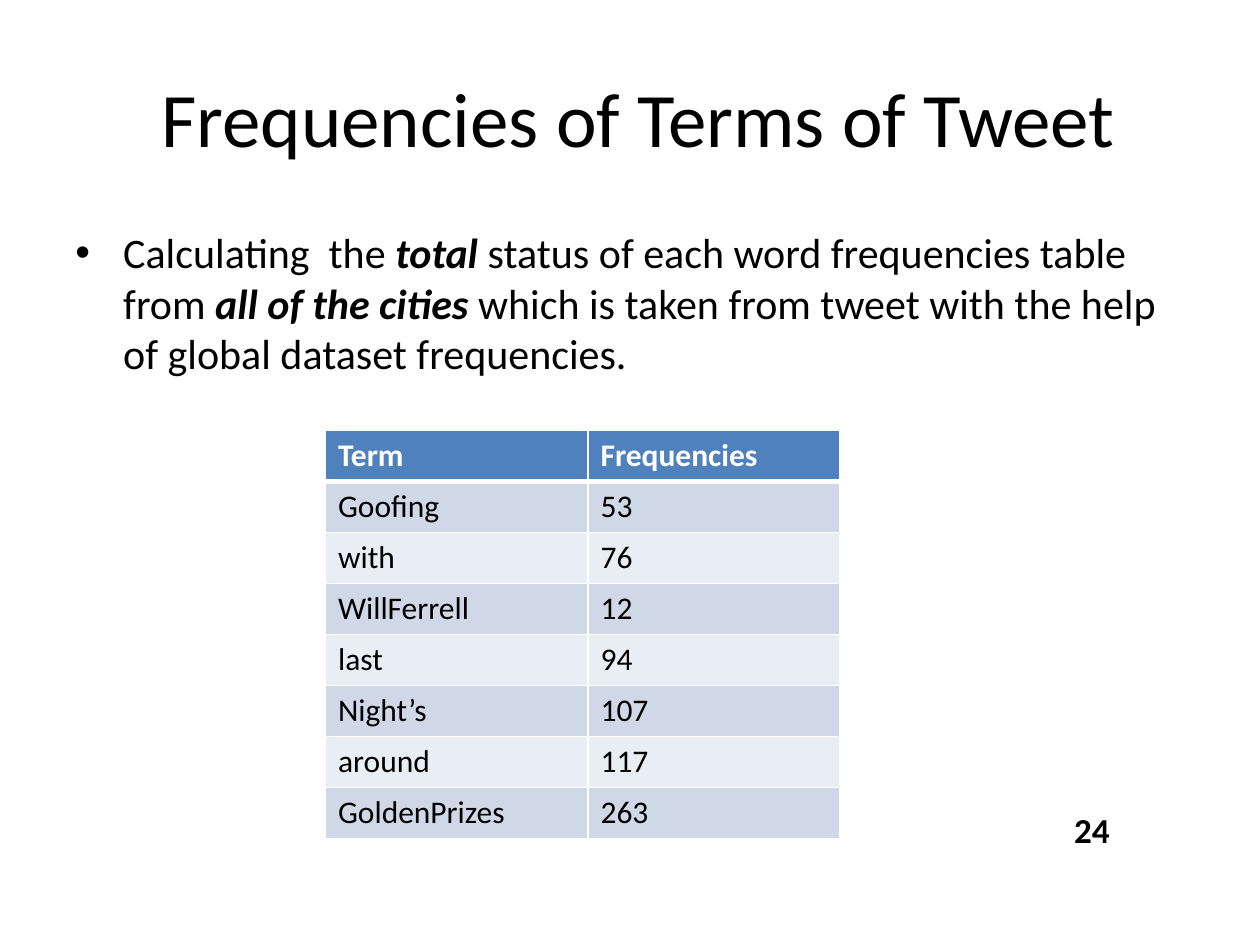
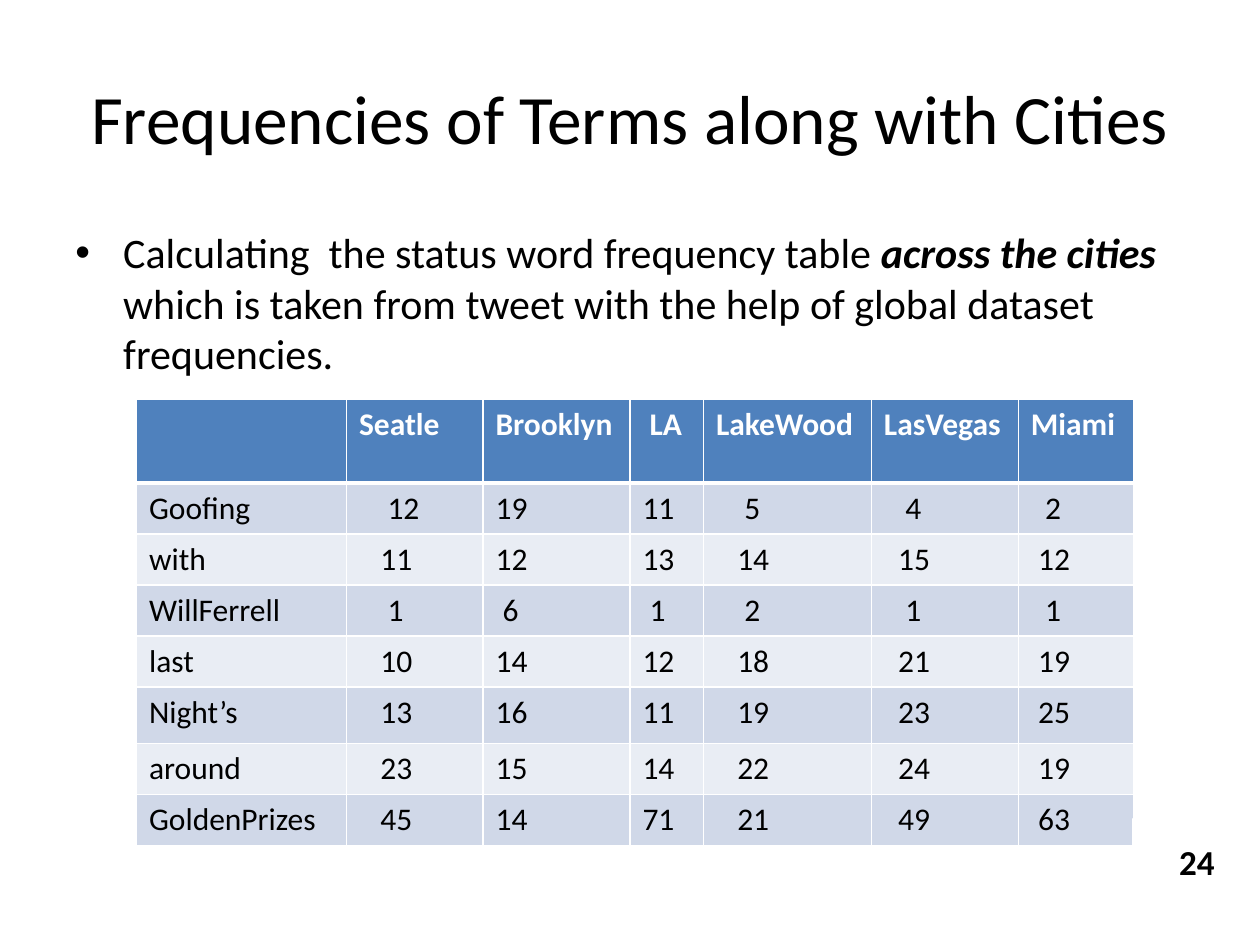
import collections
import pptx
import pptx.util
import pptx.dml.color
import pptx.enum.shapes
import pptx.enum.text
import pptx.oxml.ns
import lxml.etree

# The slide is divided into 120 columns and 90 rows of equal size
SLIDE_WIDTH, SLIDE_HEIGHT = pptx.util.Inches(10), pptx.util.Inches(7.5)
COLUMN, ROW = SLIDE_WIDTH / 120, SLIDE_HEIGHT / 90

Box = collections.namedtuple("Box", "left top width height")
TITLE_BOX = Box(6, 3.6, 108, 15)
BODY_BOX = Box(6, 21, 108, 59.4)

FONT = "Calibri"
COLOURS = {"text": "000000", "paper": "FFFFFF", "header": "4F81BD",
           "odd_row": "D0D8E8", "even_row": "E9EDF4"}
CELL_SIZE = 18
CELL_MARGIN = 0.1
INDENT_STEP = 0.06 * 0.94   # one space of cell text, in inches
ROW_HEIGHT = 4.86

TERMS = ["Goofing", "with", "WillFerrell", "last", "Night’s", "around",
         "GoldenPrizes"]
TOTALS = [53, 76, 12, 94, 107, 117, 263]
CITIES = ["Seatle", "Brooklyn", "LA", "LakeWood", "LasVegas", "Miami"]
CITY_COUNTS = [
    [12, 19, 11, 5, 4, 2],
    [11, 12, 13, 14, 15, 12],
    [1, 6, 1, 2, 1, 1],
    [10, 14, 12, 18, 21, 19],
    [13, 16, 11, 19, 23, 25],
    [23, 15, 14, 22, 24, 19],
    [45, 14, 71, 21, 49, 63],
]
CITY_INDENTS = [3, 0, 0, 3, 2, 1]


def colour(name):
    return pptx.dml.color.RGBColor.from_string(COLOURS[name])


def place(box):
    """Turn grid units into lengths."""
    return [pptx.util.Emu(round(share * unit))
            for share, unit in zip(box, (COLUMN, ROW, COLUMN, ROW))]


def add_text(para, text, size=CELL_SIZE, ink="text", bold=False, italic=False,
             align=None):
    span = para.add_run()
    span.text = text
    span.font.name = FONT
    span.font.size = pptx.util.Pt(size)
    span.font.bold = bold
    span.font.italic = italic
    span.font.color.rgb = colour(ink)
    if align is not None:
        para.alignment = align


def add_frame(page, box, anchor):
    frame = page.shapes.add_textbox(*place(box)).text_frame
    frame.word_wrap = True
    frame.vertical_anchor = anchor
    return frame


def add_title(page, box, text, size):
    frame = add_frame(page, box, pptx.enum.text.MSO_ANCHOR.MIDDLE)
    add_text(frame.paragraphs[0], text, size=size,
             align=pptx.enum.text.PP_ALIGN.CENTER)


def add_bullet(page, box, parts):
    """Place one bulleted paragraph; every second part is emphasised."""
    frame = add_frame(page, box, pptx.enum.text.MSO_ANCHOR.TOP)
    para = frame.paragraphs[0]
    para.space_before = pptx.util.Pt(4.8)
    for position, text in enumerate(parts):
        strong = position % 2 == 1
        add_text(para, text, size=24, bold=strong, italic=strong)
    properties = para._p.get_or_add_pPr()
    indent = pptx.util.Inches(0.38)
    properties.set("marL", str(indent))
    properties.set("indent", str(-indent))
    for tag, key, value in (("a:buFont", "typeface", "Arial"),
                            ("a:buChar", "char", "•")):
        mark = lxml.etree.SubElement(properties, pptx.oxml.ns.qn(tag))
        mark.set(key, value)


def set_borders(cell, top, bottom):
    properties = cell._tc.get_or_add_tcPr()
    for side, width in (("L", 1), ("R", 1), ("T", top), ("B", bottom)):
        line = lxml.etree.SubElement(properties, pptx.oxml.ns.qn("a:ln" + side))
        line.set("w", str(pptx.util.Pt(width)))
        fill = lxml.etree.SubElement(line, pptx.oxml.ns.qn("a:solidFill"))
        ink = lxml.etree.SubElement(fill, pptx.oxml.ns.qn("a:srgbClr"))
        ink.set("val", COLOURS["paper"])


def add_term_table(page, left, top, widths, heights, rows, indents):
    """Place a banded table; indents maps (row, column) to indent steps."""
    box = Box(left, top, sum(widths), sum(heights))
    table = page.shapes.add_table(len(rows), len(widths), *place(box)).table
    for column, width in zip(table.columns, widths):
        column.width = round(width * COLUMN)
    for row, height in zip(table.rows, heights):
        row.height = round(height * ROW)
    for r, values in enumerate(rows):
        header = r == 0
        band = "header" if header else ("odd_row" if r % 2 else "even_row")
        for c, value in enumerate(values):
            cell = table.cell(r, c)
            set_borders(cell, top=3 if r == 1 else 1, bottom=3 if header else 1)
            cell.fill.solid()
            cell.fill.fore_color.rgb = colour(band)
            cell.margin_left = pptx.util.Inches(
                CELL_MARGIN + indents.get((r, c), 0) * INDENT_STEP)
            if value != "":
                add_text(cell.text_frame.paragraphs[0], str(value), bold=header,
                         ink="paper" if header else "text")


def add_page_number(page, left, top, number):
    shape = page.shapes.add_shape(pptx.enum.shapes.MSO_SHAPE.RECTANGLE,
                                  *place(Box(left, top, 12, 8)))
    shape.shadow.inherit = False
    shape.fill.solid()
    shape.fill.fore_color.rgb = colour("paper")
    shape.line.color.rgb = colour("paper")
    shape.line.width = pptx.util.Pt(2)
    shape.text_frame.vertical_anchor = pptx.enum.text.MSO_ANCHOR.MIDDLE
    add_text(shape.text_frame.paragraphs[0], number, size=20, bold=True,
             align=pptx.enum.text.PP_ALIGN.CENTER)


def add_page(deck, title, title_size, bullet):
    page = deck.slides.add_slide(deck.slide_layouts[6])
    add_title(page, TITLE_BOX, title, title_size)
    add_bullet(page, BODY_BOX, bullet)
    return page


def build_totals_page(deck):
    page = add_page(deck, " Frequencies of Terms of Tweet", 44, [
        "Calculating  the ", "total",
        " status of each word frequencies table from ", "all of the cities",
        " which is taken from tweet with the help of global dataset frequencies."])
    rows = [("Term", "Frequencies"), *zip(TERMS, TOTALS)]
    add_term_table(page, 31, 41, [25, 24], [ROW_HEIGHT] * len(rows), rows, {})
    add_page_number(page, 98, 75, "24")


def build_cities_page(deck):
    page = add_page(deck, "Frequencies of Terms along with Cities", 39.6, [
        "Calculating  the status word frequency table ", "across the cities",
        " which is taken from tweet with the help of global dataset frequencies."])
    rows = [["", *CITIES]]
    rows += [[term, *counts] for term, counts in zip(TERMS, CITY_COUNTS)]
    # Single digits sit one step further in than the rest of their column
    indents = {(r, c): CITY_INDENTS[c - 1] + (rows[r][c] < 10)
               for r in range(1, len(rows)) for c in range(1, len(rows[0]))}
    indents[0, 3] = 1
    indents[1, 1] = 4
    heights = [8] + [ROW_HEIGHT] * len(TERMS)
    heights[1 + TERMS.index("Night’s")] = 5.4
    add_term_table(page, 13, 38, [20, 13, 14, 7, 16, 14, 11], heights, rows,
                   indents)
    add_page_number(page, 108, 78, "24")


def main():
    deck = pptx.Presentation()
    deck.slide_width, deck.slide_height = SLIDE_WIDTH, SLIDE_HEIGHT
    build_totals_page(deck)
    build_cities_page(deck)
    deck.save("out.pptx")


if __name__ == "__main__":
    main()
